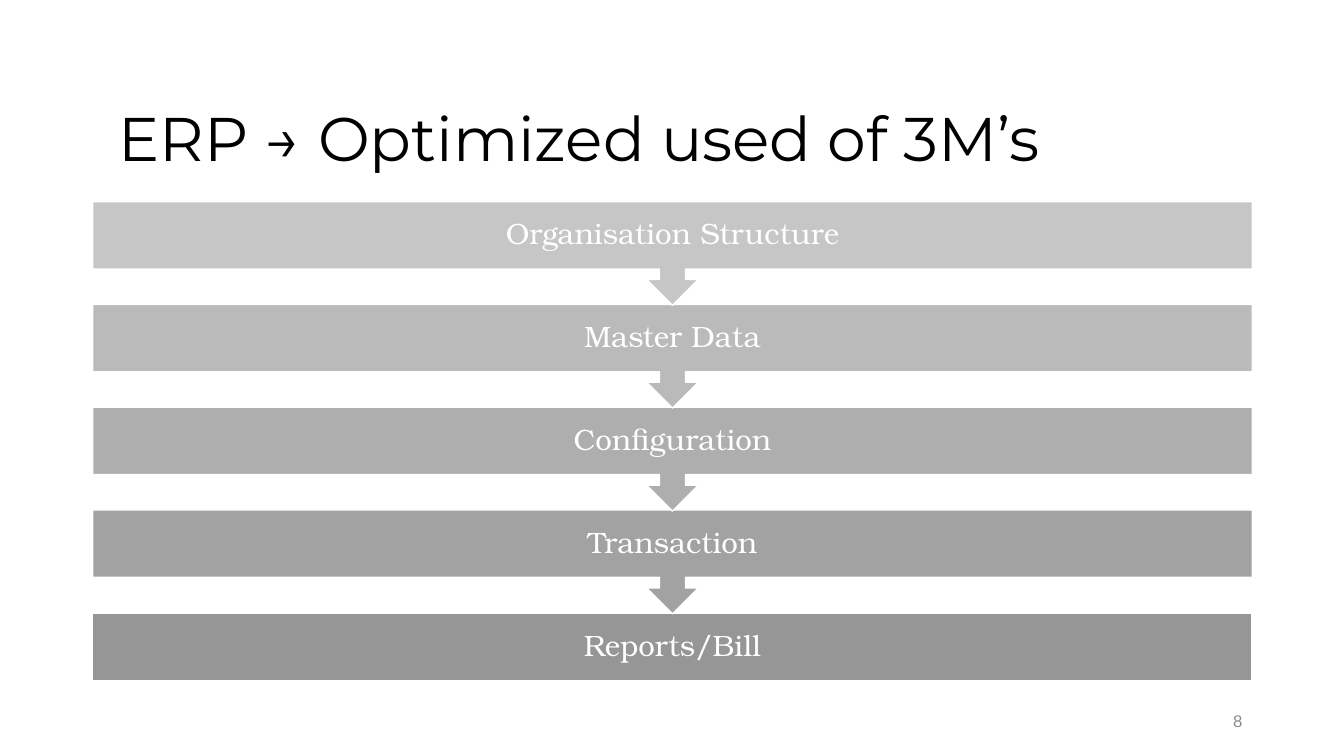
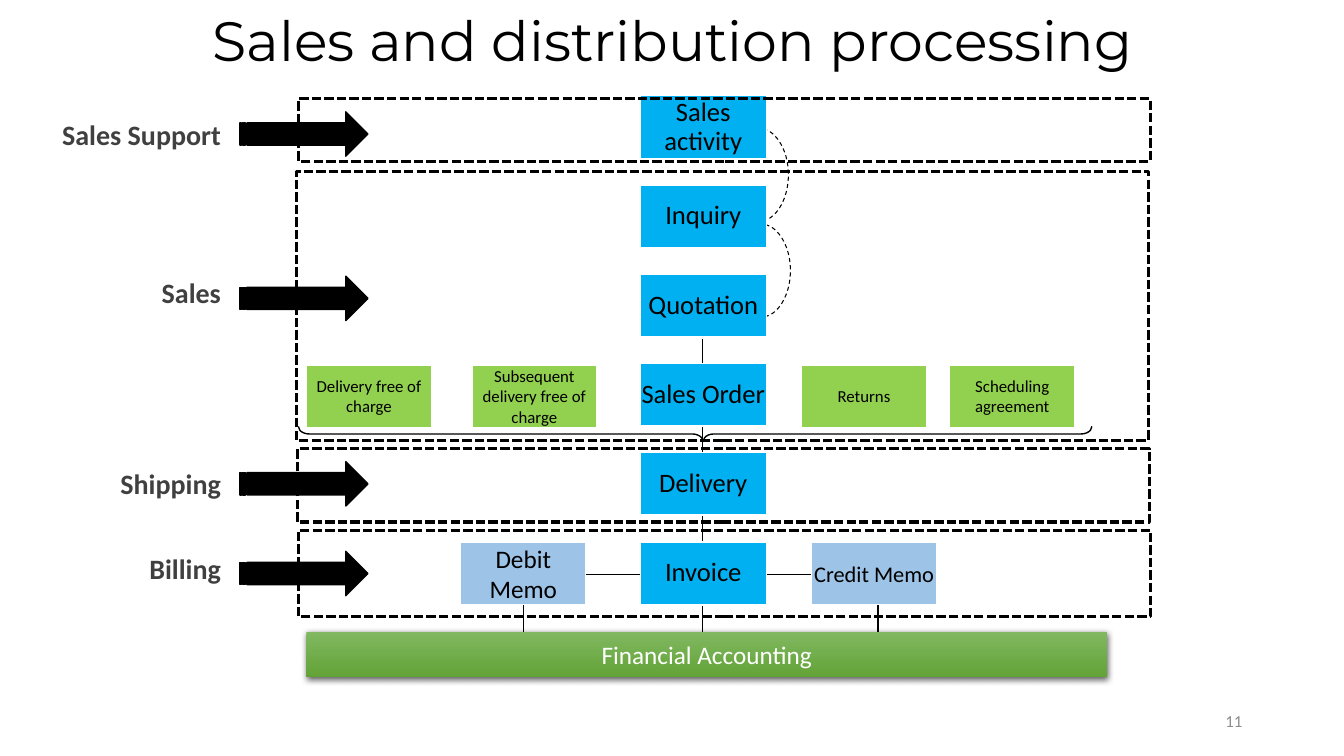
from lxml import etree
from pptx import Presentation
from pptx import util as u
from pptx.dml.color import RGBColor
from pptx.enum import dml, shapes, text
from pptx.oxml import ns

BLACK, WHITE = "000000", "FFFFFF"
BLUE, LIGHT_BLUE, GREEN = "00B0F0", "9DC3E6", "92D050"
LABEL_GRAY, NUMBER_GRAY = "404040", "8C8C8C"
KIND = shapes.MSO_SHAPE
ALIGN = text.PP_ALIGN
ANCHOR = text.MSO_ANCHOR


def paint(fill, color):
    if color is None:
        fill.background()
    else:
        fill.solid()
        fill.fore_color.rgb = RGBColor.from_string(color)


def draw(slide, kind, box, fill=None, line=None, width=1, words="", size=18,
         font="Calibri", color=BLACK, align=ALIGN.CENTER, anchor=ANCHOR.MIDDLE,
         margin=None, spacing=1.0, bold=False):
    place = [u.Inches(value) for value in box]
    if kind is None:
        shape = slide.shapes.add_textbox(*place)
    else:
        shape = slide.shapes.add_shape(kind, *place)
        shape.shadow.inherit = False
    paint(shape.fill, fill)
    paint(shape.line.fill, line)
    if line:
        shape.line.width = u.Pt(width)
    if words:
        frame = shape.text_frame
        frame.word_wrap = True
        frame.vertical_anchor = anchor
        if margin is not None:
            frame.margin_left = frame.margin_right = u.Inches(margin)
            frame.margin_top = frame.margin_bottom = u.Inches(margin)
        paragraph = frame.paragraphs[0]
        paragraph.text = words
        paragraph.alignment = align
        paragraph.line_spacing = spacing
        paragraph.font.name = font
        paragraph.font.size = u.Pt(size)
        paragraph.font.bold = bold
        paint(paragraph.font.fill, color)
    return shape


presentation = Presentation()
presentation.slide_width = u.Inches(13.33)
presentation.slide_height = u.Inches(7.5)

slides = []
for title, box, size, align, number, number_font in [
    ("ERP → Optimized used of 3M’s", (1.08, 0.68, 12.17, 1.45), 44, ALIGN.LEFT, "8", "Arial"),
    ("Sales and distribution processing", (0.96, 0.07, 11.42, 0.73), 39.6, ALIGN.CENTER,
     "11", "Calibri"),
]:
    slide = presentation.slides.add_slide(presentation.slide_layouts[6])
    draw(slide, None, box, words=title, size=size, font="Montserrat", align=align, spacing=0.9)
    draw(slide, None, (9.42, 6.95, 3, 0.4), words=number, size=12, font=number_font,
         color=NUMBER_GRAY, align=ALIGN.RIGHT)
    slides.append(slide)
erp_slide, sales_slide = slides

steps = [
    ("Organisation Structure", "C6C6C6"),
    ("Master Data", "BABABA"),
    ("Configuration", "AEAEAE"),
    ("Transaction", "A2A2A2"),
    ("Reports/Bill", "969696"),
]
for index, (step, gray) in reversed(list(enumerate(steps))):
    is_last = index == len(steps) - 1
    kind = KIND.RECTANGLE if is_last else KIND.DOWN_ARROW_CALLOUT
    height = 0.67 if is_last else 1.03
    draw(erp_slide, kind, (0.92, 2 + 1.02 * index, 11.5, height), gray, WHITE, words=step,
         size=21, font="TeX Gyre Bonum", color=WHITE, margin=0.16, spacing=0.9)

for x1, y1, x2, y2 in [
    (6.97, 3.36, 6.97, 5.48),
    (5.81, 5.7, 8.04, 5.7),
    (5.19, 5.76, 5.19, 6.31),
    (6.97, 6.01, 6.97, 6.57),
    (8.71, 5.82, 8.71, 6.38),
]:
    connector = sales_slide.shapes.add_connector(
        shapes.MSO_CONNECTOR.STRAIGHT, u.Inches(x1), u.Inches(y1), u.Inches(x2), u.Inches(y2))
    paint(connector.line.fill, BLACK)
    connector.line.width = u.Pt(1)
    etree.SubElement(connector.element.spPr, ns.qn("a:effectLst"))

for left, top in [(7.22, 1.27), (7.24, 2.22)]:
    arc = draw(sales_slide, KIND.ARC, (left, top, 0.6, 0.93), line=BLACK, width=0.75)
    arc.adjustments[0] = 165.88
    arc.adjustments[1] = 49.74
    arc.line.dash_style = dml.MSO_LINE.DASH

brace = draw(sales_slide, KIND.LEFT_BRACE, (6.82, 0.37, 0.15, 7.87), line=BLACK)
brace.rotation = 270
brace.adjustments[0] = 0.71
brace.adjustments[1] = 0.51

documents = ["Sales activity", "Inquiry", "Quotation", "Sales Order", "Delivery", "Invoice"]
for index, document in enumerate(documents):
    draw(sales_slide, KIND.RECTANGLE, (6.35, 0.95 + 0.885 * index, 1.25, 0.62), BLUE, WHITE,
         words=document, size=19, margin=0.01, spacing=0.9)

for name, left, top, fill, size in [
    ("Delivery free of charge", 3.04, 3.62, GREEN, 12),
    ("Subsequent delivery free of charge", 4.68, 3.62, GREEN, 12),
    ("Returns", 7.95, 3.62, GREEN, 12),
    ("Scheduling agreement", 9.42, 3.62, GREEN, 12),
    ("Debit Memo", 4.57, 5.38, LIGHT_BLUE, 18),
    ("Credit Memo", 8.05, 5.38, LIGHT_BLUE, 16),
]:
    draw(sales_slide, KIND.RECTANGLE, (left, top, 1.24, 0.62), fill, WHITE,
         words=name, size=size, margin=0.01)

accounting = draw(sales_slide, KIND.RECTANGLE, (3.04, 6.27, 7.94, 0.45),
                  words="Financial Accounting", color=WHITE)
accounting.fill.gradient()
accounting.fill.gradient_angle = 270
for stop, color in zip(accounting.fill.gradient_stops, ["81B861", "62A336"]):
    stop.color.rgb = RGBColor.from_string(color)
effects = accounting.element.spPr.find(ns.qn("a:effectLst"))
shadow = etree.SubElement(effects, ns.qn("a:outerShdw"), blurRad=str(u.Pt(4.5)),
                          dist=str(u.Pt(1.5)), dir="5400000", algn="ctr", rotWithShape="0")
shadow_color = etree.SubElement(shadow, ns.qn("a:srgbClr"), val=BLACK)
etree.SubElement(shadow_color, ns.qn("a:alpha"), val="63000")

for area, left, top, height, arrow_top, label_top in [
    ("Sales Support", 2.96, 0.98, 0.62, 1.11, 1.12),
    ("Sales", 2.94, 1.7, 2.67, 2.74, 2.68),
    ("Shipping", 2.95, 4.45, 0.73, 4.58, 4.58),
    ("Billing", 2.96, 5.26, 0.86, 5.47, 5.42),
]:
    border = draw(sales_slide, KIND.RECTANGLE, (left, top, 8.45, height), line=BLACK, width=2.25)
    border.line.dash_style = dml.MSO_LINE.SQUARE_DOT
    draw(sales_slide, KIND.STRIPED_RIGHT_ARROW, (2.38, arrow_top, 1.27, 0.44), BLACK, BLACK)
    draw(sales_slide, None, (0.24, label_top, 2.05, 0.44), words=area, size=20,
         color=LABEL_GRAY, align=ALIGN.RIGHT, anchor=ANCHOR.TOP, bold=True)

presentation.save("out.pptx")
